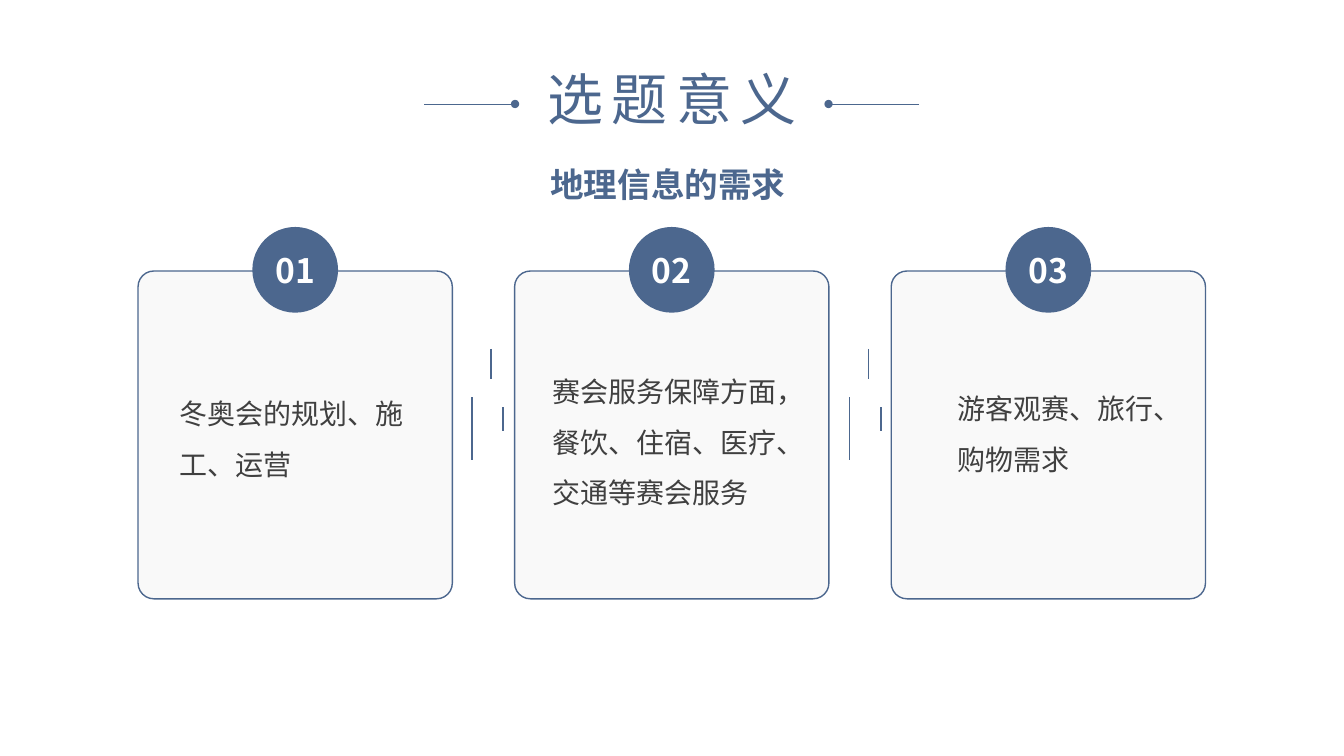
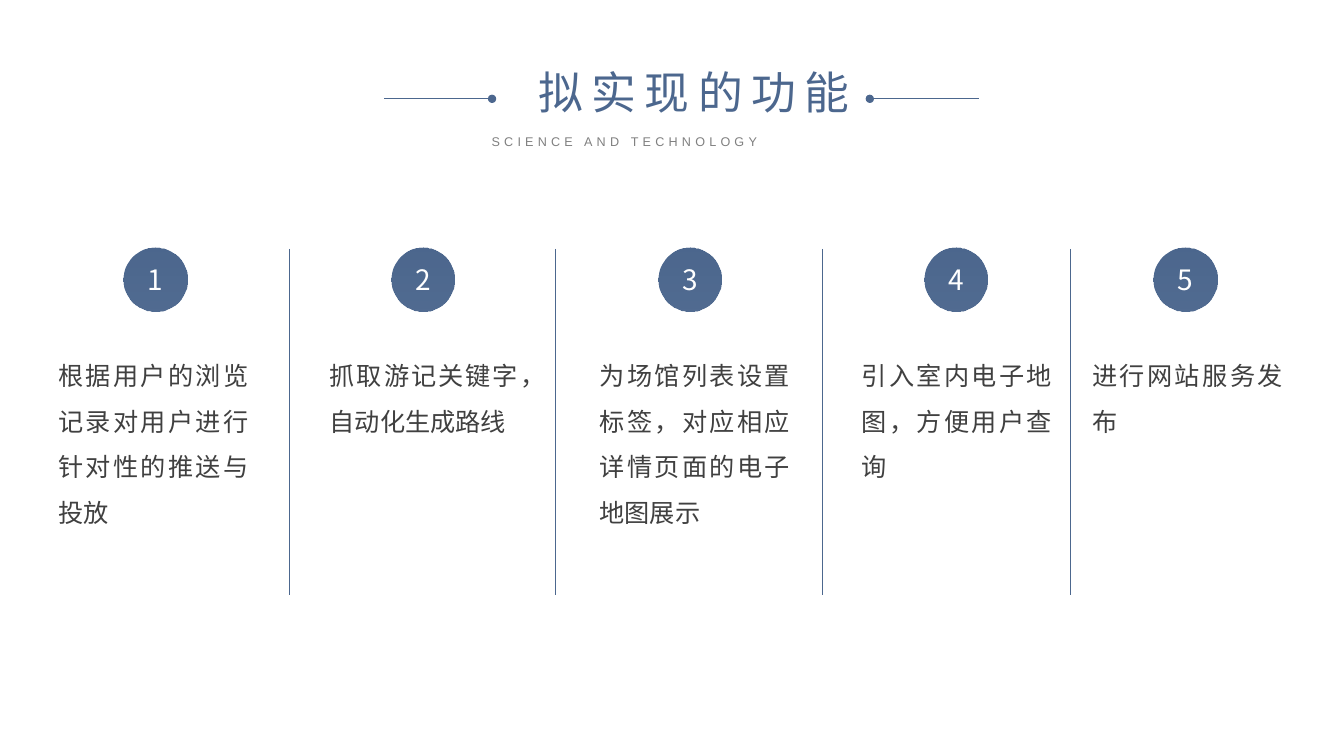
from lxml.etree import SubElement
from pptx import Presentation
from pptx.dml.color import RGBColor
from pptx.enum.shapes import MSO_CONNECTOR, MSO_SHAPE
from pptx.enum.text import MSO_ANCHOR, MSO_AUTO_SIZE, PP_ALIGN
from pptx.oxml.ns import qn
from pptx.util import Cm, Pt

COLORS = {
    "blue": "4C678E",
    "card": "F2F2F2",
    "text": "404040",
    "caption": "808080",
    "white": "FFFFFF",
}
CJK_FONT = "Noto Sans CJK SC"
TITLE_ONLY_LAYOUT = 5


def rgb(name):
    return RGBColor.from_string(COLORS[name])


def style_text(frame, text, size, color, align=PP_ALIGN.LEFT, bold=False,
               spacing=0, line_spacing=None, font=CJK_FONT):
    """Write one paragraph and format it; spacing is between letters, in points."""
    frame.text = text
    paragraph = frame.paragraphs[0]
    paragraph.alignment = align
    if line_spacing:
        paragraph.line_spacing = line_spacing
    span = paragraph.runs[0]
    span.font.size = Pt(size)
    span.font.bold = bold
    span.font.color.rgb = rgb(color)
    span.font.name = font
    properties = span._r.get_or_add_rPr()
    SubElement(properties, qn("a:ea")).set("typeface", font)
    if spacing:
        properties.set("spc", str(spacing * 100))


def set_margins(frame, margin):
    frame.margin_left = frame.margin_right = margin
    frame.margin_top = frame.margin_bottom = margin


def set_alpha(shape, percent):
    """Make the last colour of the shape's fill partly transparent."""
    fill = shape.fill._xPr.findall(".//" + qn("a:srgbClr"))[-1]
    SubElement(fill, qn("a:alpha")).set("val", str(percent * 1000))


def add_text(page, left, top, width, height, text, size, color="text",
             margin=0, **style):
    box = page.shapes.add_textbox(Cm(left), Cm(top), Cm(width), Cm(height))
    frame = box.text_frame
    frame.word_wrap = True
    frame.auto_size = MSO_AUTO_SIZE.SHAPE_TO_FIT_TEXT
    set_margins(frame, Cm(margin))
    style_text(frame, text, size, color, **style)


def add_line(page, start, end, width=1, dot=False):
    """Draw a blue line from start to end, with an oval at its end if dot is set."""
    line = page.shapes.add_connector(
        MSO_CONNECTOR.STRAIGHT, *(Cm(value) for value in (*start, *end)))
    line.line.color.rgb = rgb("blue")
    line.line.width = Pt(width)
    if dot:
        SubElement(line.line._get_or_add_ln(), qn("a:tailEnd")).set("type", "oval")
    SubElement(line._element.spPr, qn("a:effectLst"))


def add_badge(page, left, top, diameter, number, size, bold=False, fading=False):
    badge = page.shapes.add_shape(
        MSO_SHAPE.OVAL, Cm(left), Cm(top), Cm(diameter), Cm(diameter))
    badge.shadow.inherit = False
    badge.line.fill.background()
    if fading:
        badge.fill.gradient()
        badge.fill.gradient_angle = 270
        for stop in badge.fill.gradient_stops:
            stop.color.rgb = rgb("blue")
        set_alpha(badge, 97)
    else:
        badge.fill.solid()
        badge.fill.fore_color.rgb = rgb("blue")
    frame = badge.text_frame
    set_margins(frame, 0)
    frame.vertical_anchor = MSO_ANCHOR.MIDDLE
    style_text(frame, number, size, "white", PP_ALIGN.CENTER, bold)


def add_card(page, left, top, width, height):
    card = page.shapes.add_shape(
        MSO_SHAPE.ROUNDED_RECTANGLE, Cm(left), Cm(top), Cm(width), Cm(height))
    card.adjustments[0] = 0.05
    card.shadow.inherit = False
    card.fill.solid()
    card.fill.fore_color.rgb = rgb("card")
    set_alpha(card, 44)
    card.line.color.rgb = rgb("blue")
    card.line.width = Pt(1)


def add_titled_page(deck, text, size, width, height, rule_y, rules):
    """Add a page whose title stands between two rules, each given as (outer, inner)."""
    page = deck.slides.add_slide(deck.slide_layouts[TITLE_ONLY_LAYOUT])
    title = page.shapes.title
    title.left, title.top = Cm(13.11), Cm(1.5)
    title.width, title.height = Cm(width), Cm(height)
    frame = title.text_frame
    frame.word_wrap = True
    frame.auto_size = MSO_AUTO_SIZE.NONE
    frame.vertical_anchor = MSO_ANCHOR.TOP
    style_text(frame, text, size, "blue", PP_ALIGN.CENTER, spacing=6)
    for outer, inner in rules:
        add_line(page, (outer, rule_y), (inner, rule_y), 0.5, dot=True)
    return page


def add_significance_page(deck):
    page = add_titled_page(deck, "选题意义", 40, 7.65, 1.96, 2.62,
                           [(10.69, 12.98), (23.16, 20.88)])
    add_text(page, 13.87, 3.63, 6.76, 1.35, "地理信息的需求", 24, "blue",
             align=PP_ALIGN.JUSTIFY, bold=True, line_spacing=1.5)

    first_left, card_top, card_width, pitch = 3.48, 6.83, 7.92, 9.49
    diameter = 2.16
    needs = [
        (4.52, 9.58, 6.15, 2.42, "冬奥会的规划、施工、运营"),
        (13.92, 9.02, 6.6, 3.71, "赛会服务保障方面，餐饮、住宿、医疗、交通等赛会服务"),
        (24.13, 9.45, 4.98, 2.57, "游客观赛、旅行、购物需求"),
    ]
    for index, (left, top, width, height, text) in enumerate(needs):
        card_left = first_left + index * pitch
        add_card(page, card_left, card_top, card_width, 8.26)
        add_badge(page, card_left + (card_width - diameter) / 2, 5.72, diameter,
                  f"{index + 1:02}", 24, bold=True)
        add_text(page, left, top, width, height, text, 20, line_spacing=1.5)

    ticks = [(0, 10.01, 11.58), (0.48, 8.79, 9.55), (0.79, 10.26, 10.87)]
    for gap_left in (11.89, 21.41):
        for offset, top, bottom in ticks:
            x = gap_left + offset
            add_line(page, (x, top), (x, bottom))


def add_functions_page(deck):
    page = add_titled_page(deck, "拟实现的功能", 32, 8.76, 1.63, 2.49,
                           [(9.68, 12.4), (24.66, 21.92)])
    add_text(page, 12.19, 3.18, 9.5, 0.64, "SCIENCE AND TECHNOLOGY", 9, "caption",
             margin=0.2, align=PP_ALIGN.JUSTIFY, spacing=3, font="Arial")

    functions = [
        (3.12, 1.47, "根据用户的浏览记录对用户进行针对性的推送与投放"),
        (9.86, 8.31, "抓取游记关键字，自动化生成路线"),
        (16.59, 15.11, "为场馆列表设置标签，对应相应详情页面的电子地图展示"),
        (23.29, 21.72, "引入室内电子地图，方便用户查询"),
        (29.08, 27.53, "进行网站服务发布"),
    ]
    for number, (badge_left, text_left, text) in enumerate(functions, 1):
        add_badge(page, badge_left, 6.25, 1.6, str(number), 20, fading=True)
        add_text(page, text_left, 8.71, 4.8, 4.62, text, 18,
                 align=PP_ALIGN.JUSTIFY, line_spacing=1.5)
    for x in (7.29, 14, 20.73, 26.97):
        add_line(page, (x, 6.27), (x, 14.99))


def main():
    deck = Presentation()
    deck.slide_width, deck.slide_height = Cm(33.87), Cm(19.05)
    add_significance_page(deck)
    add_functions_page(deck)
    deck.save("out.pptx")


if __name__ == "__main__":
    main()
